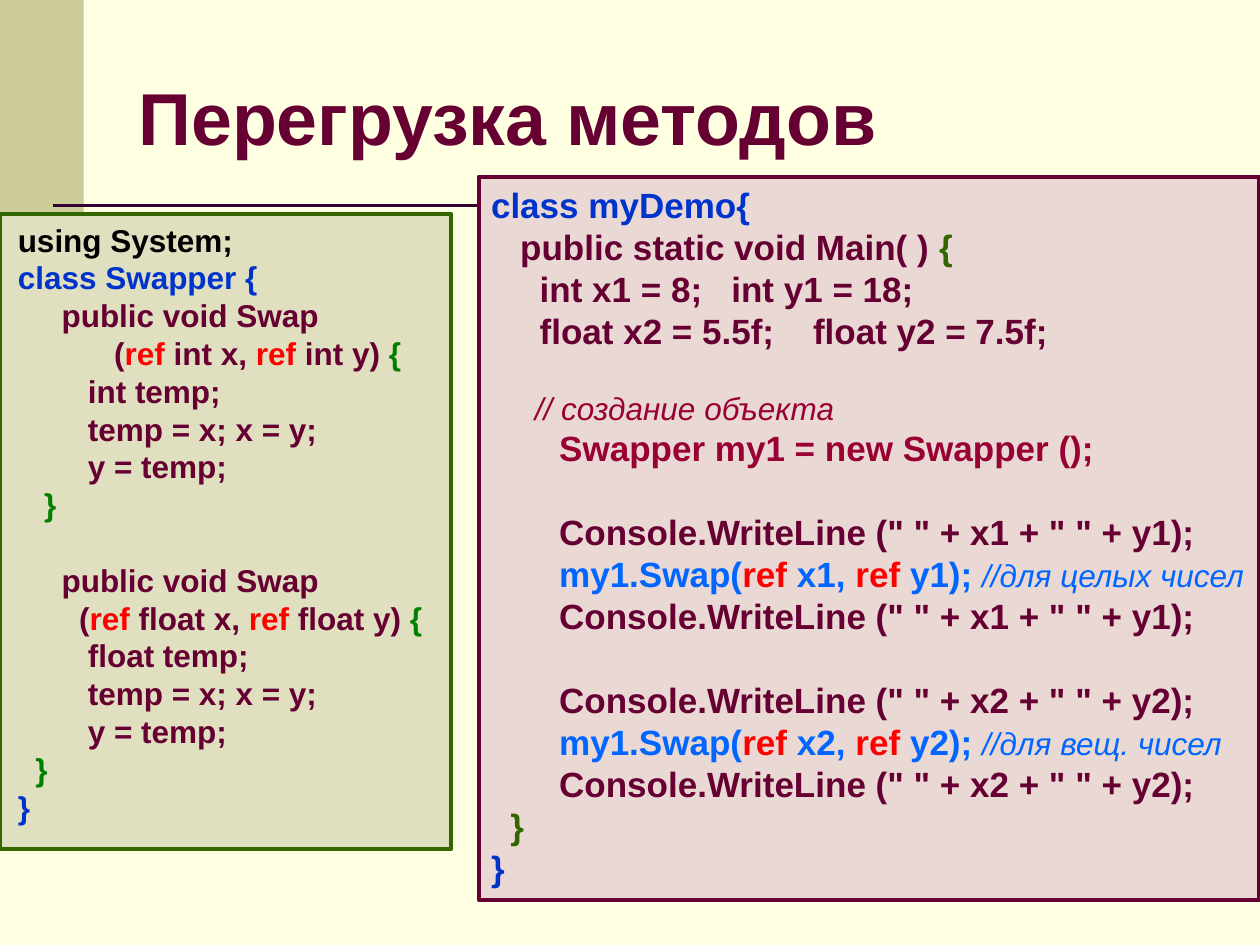
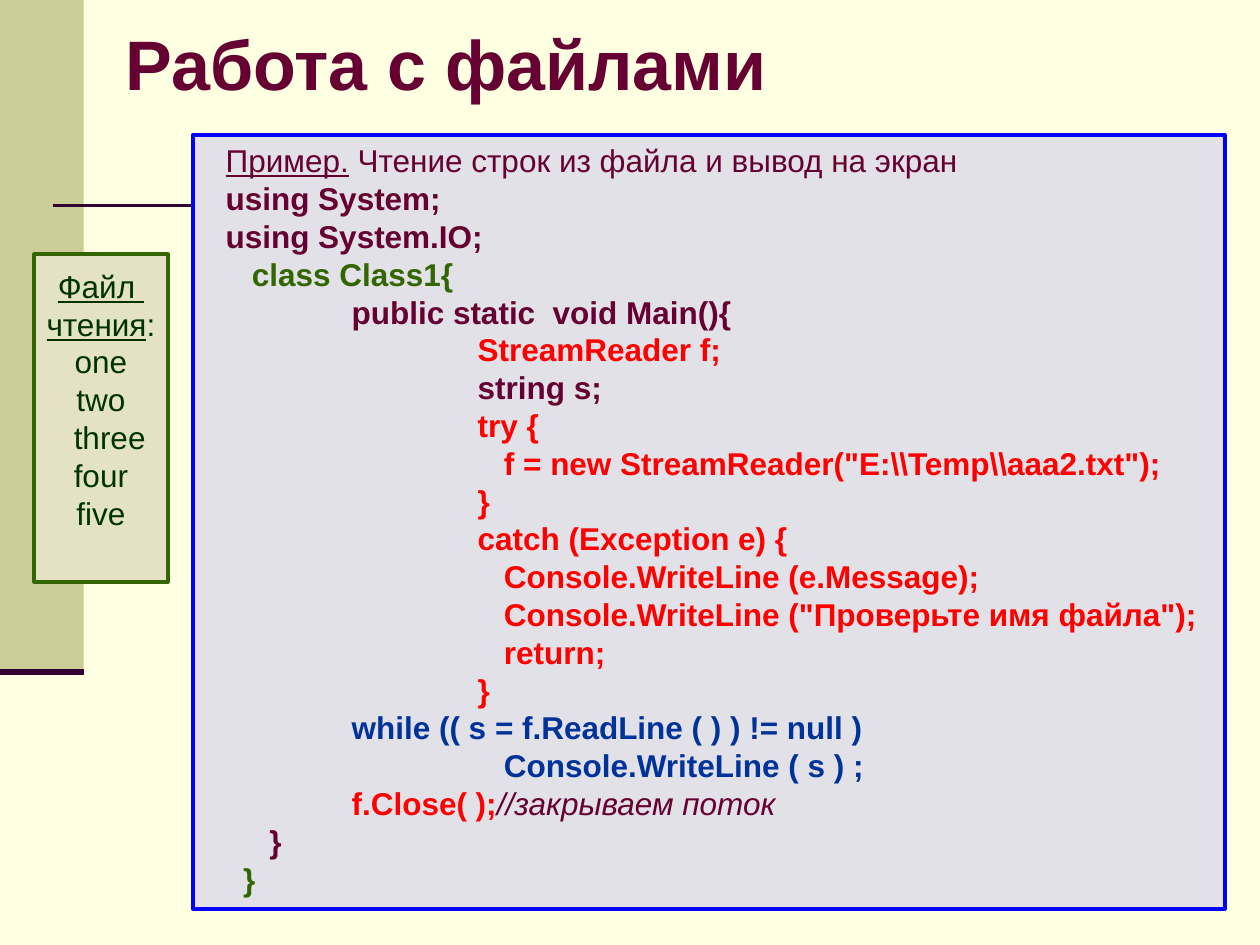
from dataclasses import dataclass
from typing import Optional

from lxml.etree import SubElement
from pptx import Presentation
from pptx.dml.color import RGBColor
from pptx.enum.shapes import MSO_CONNECTOR, MSO_SHAPE
from pptx.enum.text import MSO_ANCHOR, PP_ALIGN
from pptx.oxml.ns import qn
from pptx.util import Cm, Pt

HUES = {
    "page": "FFFFE1", "band": "CCCC99", "rule": "330033", "wine": "660033",
    "olive": "336600", "black": "000000", "blue": "0033CC", "red": "FF0000",
    "green": "008000", "sky": "0066FF", "rose": "990033", "navy": "003399",
    "pine": "003300", "frame": "0000FF", "sage": "E0DFBF", "blush": "E9D8D3",
    "sand": "E3E2C4", "mist": "E1E1E7",
}
FONT = "Arial"
TAB = 2.54
SPACE = 0.278  # width of a space in ems
PITCH = 1.2


@dataclass
class Run:
    text: str
    hue: str = "wine"
    bold: bool = True
    slant: bool = False
    under: bool = False
    size: Optional[int] = None


@dataclass
class Line:
    runs: list[Run]
    pad: int = 0  # indent in spaces
    tabs: int = 0  # indent in tab stops
    gap: bool = False  # one line of space above
    size: Optional[int] = None


@dataclass
class Panel:
    box: tuple[float, float, float, float]
    fill: str
    edge: str
    lines: list[Line]
    size: int = 18
    left: float = 0.25
    top: float = 0.13
    mid: bool = False


def row(text: str, hue: str = "wine", **extra) -> Line:
    """Make a line of one run."""
    return Line([Run(text, hue)], **extra)


def paint(target, hue: str) -> None:
    target.solid()
    target.fore_color.rgb = RGBColor.from_string(HUES[hue])


def add_run(para, run: Run, size: int) -> None:
    part = para.add_run()
    part.text = run.text
    font = part.font
    font.name = FONT
    font.size = Pt(run.size or size)
    font.bold, font.italic, font.underline = run.bold, run.slant, run.under
    font.color.rgb = RGBColor.from_string(HUES[run.hue])


def add_line(para, line: Line, size: int) -> None:
    size = line.size or size
    high = Pt(size * PITCH)
    para.line_spacing = high
    if line.gap:
        para.space_before = high
    shift = Cm(line.tabs * TAB) + Pt(line.pad * SPACE * size)
    props = para._p.get_or_add_pPr()
    props.set("marL", str(shift))
    props.set("indent", "0")
    for run in line.runs:
        add_run(para, run, size)


def add_rect(slide, box: tuple[float, float, float, float], fill: str):
    rect = slide.shapes.add_shape(MSO_SHAPE.RECTANGLE, *map(Cm, box))
    rect.shadow.inherit = False
    paint(rect.fill, fill)
    rect.line.fill.background()
    return rect


def add_rule(slide, start: float, end: float, y: float, width: float) -> None:
    rule = slide.shapes.add_connector(
        MSO_CONNECTOR.STRAIGHT, Cm(start), Cm(y), Cm(end), Cm(y))
    paint(rule.line.fill, "rule")
    rule.line.width = Pt(width)
    SubElement(rule._element.spPr, qn("a:effectLst"))


def add_title(slide, text: str, box: tuple[float, float, float, float],
              size: int) -> None:
    frame = slide.shapes.add_textbox(*map(Cm, box)).text_frame
    frame.word_wrap = True
    frame.vertical_anchor = MSO_ANCHOR.MIDDLE
    add_run(frame.paragraphs[0], Run(text), size)


def add_panel(slide, panel: Panel) -> None:
    rect = add_rect(slide, panel.box, panel.fill)
    paint(rect.line.fill, panel.edge)
    rect.line.width = Pt(2.25)
    frame = rect.text_frame
    frame.word_wrap = not panel.mid
    frame.vertical_anchor = MSO_ANCHOR.TOP
    frame.margin_left, frame.margin_top = Cm(panel.left), Cm(panel.top)
    frame.margin_right = frame.margin_bottom = Cm(0)
    for spot, line in enumerate(panel.lines):
        para = frame.add_paragraph() if spot else frame.paragraphs[0]
        para.alignment = PP_ALIGN.CENTER if panel.mid else PP_ALIGN.LEFT
        add_line(para, line, panel.size)


def add_base(deck):
    """Add a slide with the side band and rules that all slides share."""
    slide = deck.slides.add_slide(deck.slide_layouts[6])
    paint(slide.background.fill, "page")
    add_rect(slide, (0, 0, 1.69, 13.55), "band")
    add_rule(slide, 1.06, 24.13, 4.14, 1.5)
    add_rule(slide, 0, 1.69, 13.55, 3.5)
    return slide


def swap(kind: str, pad: int, close: int, gap: bool) -> list[Line]:
    """List one overload of the Swap method."""
    return [
        row("public void Swap", pad=5, gap=gap),
        Line([Run("("), Run("ref", "red"), Run(f" {kind} x, "),
              Run("ref", "red"), Run(f" {kind} y) "), Run("{", "green")],
             pad=pad),
        *[row(text, pad=8)
          for text in (f"{kind} temp;", "temp = x; x = y;", "y = temp;")],
        row("}", "green", pad=close),
    ]


def trial(num: int, note: str) -> list[Line]:
    """List a swap call between two prints."""
    text = f'Console.WriteLine (" " + x{num} + " " + y{num});'
    call = [Run("my1.Swap(", "sky"), Run("ref", "red"),
            Run(f" x{num}, ", "sky"), Run("ref ", "red"),
            Run(f"y{num}); ", "sky"),
            Run(note, "sky", bold=False, slant=True, size=18)]
    return [row(text, pad=7, gap=True), Line(call, pad=7), row(text, pad=7)]


SWAPPER = [
    row("using System;", "black"),
    row("class Swapper {", "blue"),
    *swap("int", 11, 3, False),
    *swap("float", 7, 2, True),
    row("}", "blue"),
]

DEMO = [
    row("сlass myDemo{", "blue"),
    Line([Run("public static void Main( ) "), Run("{", "olive")], pad=3),
    row("int x1 = 8;   int y1 = 18;", pad=5),
    row("float x2 = 5.5f;    float y2 = 7.5f;", pad=5),
    Line([Run("// создание объекта", "rose", bold=False, slant=True)],
         pad=5, gap=True, size=18),
    row("Swapper my1 = new Swapper ();", "rose", pad=7),
    *trial(1, "//для целых чисел"),
    *trial(2, "//для вещ. чисел"),
    row("}", "olive", pad=2),
    row("}", "blue"),
]

WORDS = [
    Line([Run("Файл ", "pine", bold=False, under=True)]),
    Line([Run("чтения", "pine", bold=False, under=True),
          Run(":", "pine", bold=False)]),
    *[Line([Run(word, "pine", bold=False)], pad=2 * (word == "three"))
      for word in ("one", "two", "three", "four", "five")],
]

READER = [
    Line([Run("Пример.", bold=False, under=True),
          Run(" Чтение строк из файла и вывод на экран", bold=False)]),
    row("using System;"),
    row("using System.IO;"),
    row("class Class1{", "olive", pad=3),
    row("public static  void Main(){", tabs=1),
    row("StreamReader f;", "red", tabs=2),
    row("string s;", tabs=2),
    row("try {", "red", tabs=2),
    row('f = new StreamReader("E:\\\\Temp\\\\aaa2.txt");', "red", tabs=2, pad=3),
    row("}", "red", tabs=2),
    row("catch (Exception e) {", "red", tabs=2),
    *[row(text, "red", tabs=2, pad=3)
      for text in ("Console.WriteLine (e.Message);",
                   'Console.WriteLine ("Проверьте имя файла");', "return;")],
    row("}", "red", tabs=2),
    row("while (( s = f.ReadLine ( ) ) != null )", "navy", tabs=1),
    row("Console.WriteLine ( s ) ;", "navy", tabs=2, pad=3),
    Line([Run("f.Close( );", "red"),
          Run("//закрываем поток", bold=False, slant=True)], tabs=1),
    row("}", pad=5),
    row("}", "olive", pad=2),
]


def main() -> None:
    deck = Presentation()
    deck.slide_width, deck.slide_height = Cm(25.4), Cm(19.05)

    slide = add_base(deck)
    add_title(slide, "Перегрузка методов", (2.54, 0.76, 21.59, 3.18), 42)
    add_panel(slide, Panel((0, 4.32, 9.1, 12.8), "sage", "olive", SWAPPER,
                           left=0.36))
    add_panel(slide, Panel((9.65, 3.56, 15.73, 14.58), "blush", "wine", DEMO,
                           size=20))

    slide = add_base(deck)
    add_panel(slide, Panel((0.69, 5.13, 2.69, 6.6), "sand", "olive", WORDS,
                           left=0, top=0.25, mid=True))
    add_title(slide, "Работа с файлами", (2.29, 0, 21.59, 2.51), 40)
    add_panel(slide, Panel((3.89, 2.72, 20.8, 15.6), "mist", "frame", READER,
                           left=0.66))
    deck.save("out.pptx")


if __name__ == "__main__":
    main()
